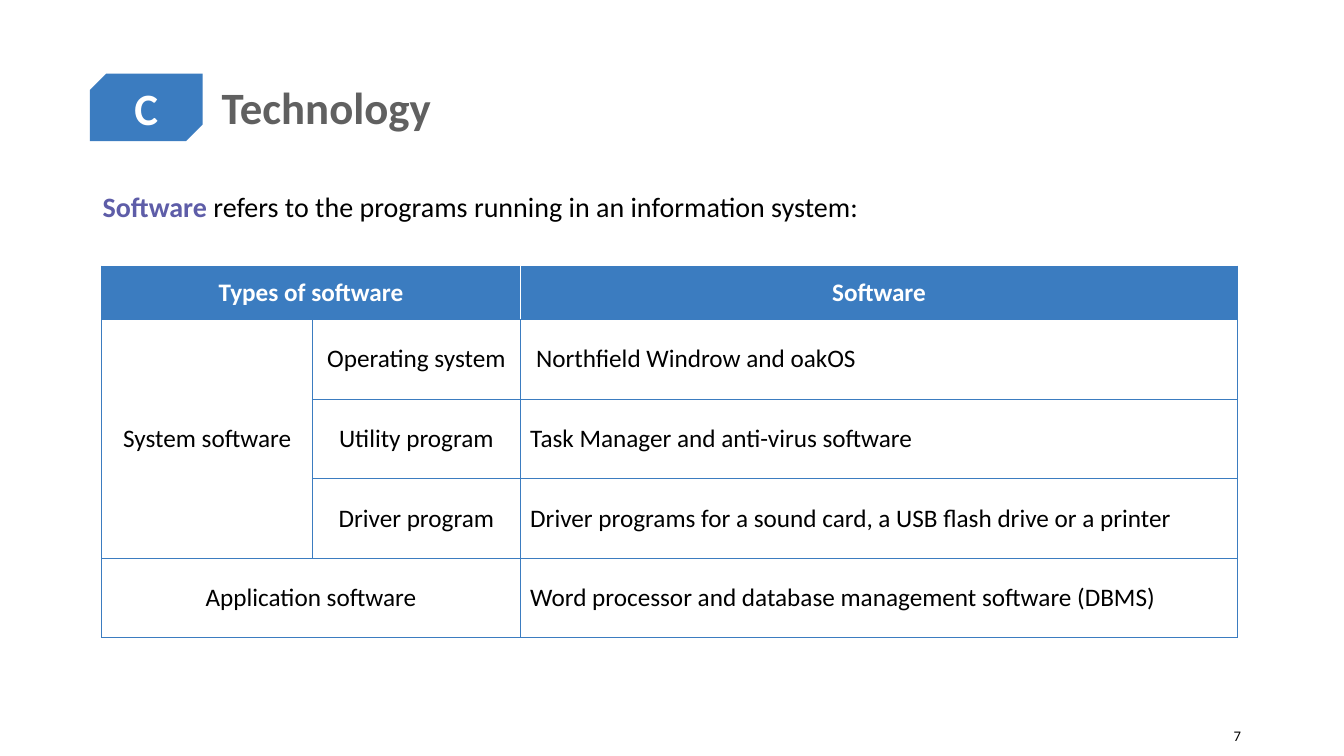
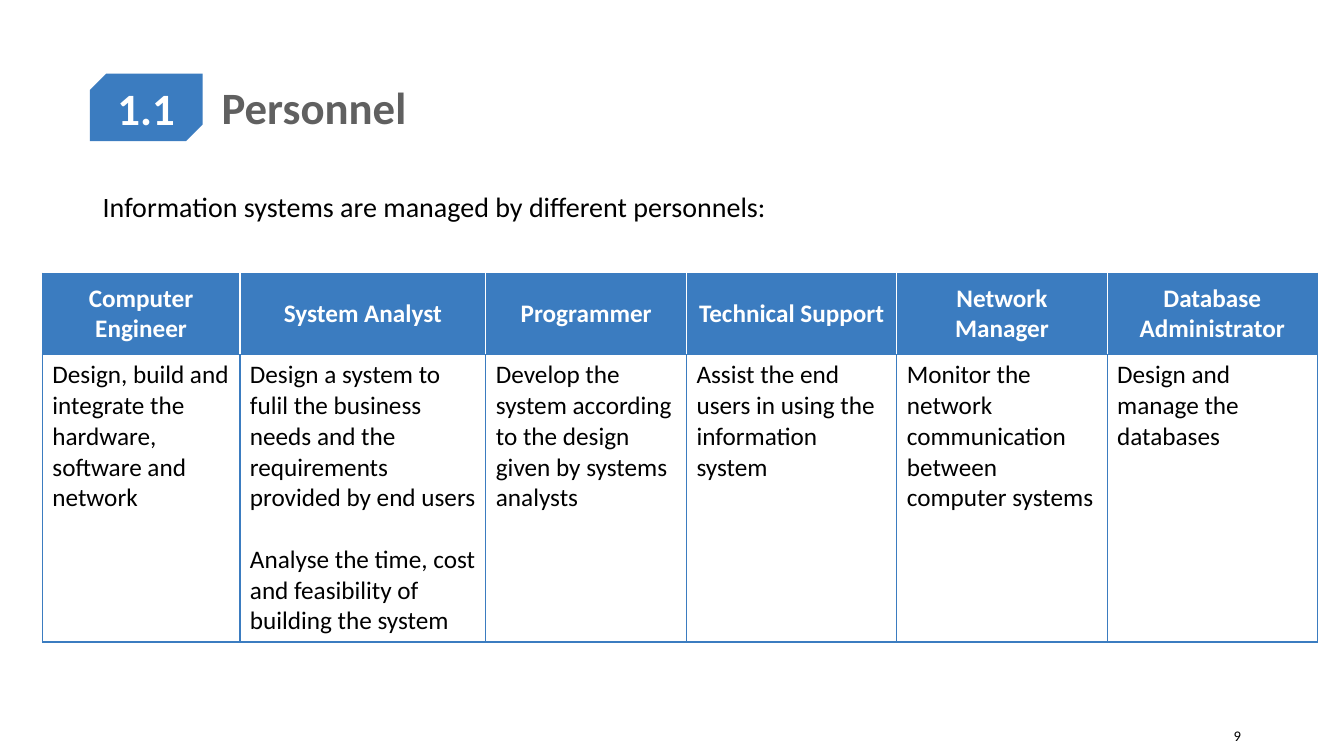
"""Build two information-system slides, each with a badge, a title and a table."""
from dataclasses import dataclass
from typing import Optional

from lxml import etree
from pptx import Presentation
from pptx import slide as sl
from pptx import table as tb
from pptx import util as u
from pptx.dml import color
from pptx.enum import shapes, text
from pptx.oxml import ns
from pptx.text import text as tx

COLORS = {"accent": "3B7CC0", "title": "606060", "term": "5E5DA8",
          "ink": "000000", "paper": "FFFFFF"}
FONT = "Calibri"
WIDTH, HEIGHT = u.Inches(13.33), u.Inches(7.5)
ALIGN, ANCHOR = text.PP_ALIGN, text.MSO_ANCHOR


@dataclass(frozen=True)
class Area:
    """A rectangle in percent of the slide's width and height."""
    left: float
    top: float
    width: float
    height: float

    def emu(self) -> tuple[int, int, int, int]:
        """Return the rectangle in slide units."""
        return (across(self.left), down(self.top),
                across(self.width), down(self.height))


@dataclass(frozen=True)
class Span:
    """A stretch of text in one style."""
    words: str
    size: float
    color: str = "ink"
    bold: bool = False


@dataclass(frozen=True)
class Entry:
    """A table cell with its paragraphs, place and extent."""
    row: int
    col: int
    paragraphs: tuple[str, ...]
    rows: int = 1
    cols: int = 1
    centred: bool = False
    anchor: ANCHOR = ANCHOR.MIDDLE
    indent: float = 0.75


@dataclass(frozen=True)
class Grid:
    """A table given by its corner, column widths and row heights."""
    left: float
    top: float
    columns: tuple[float, ...]
    rows: tuple[float, ...]
    entries: tuple[Entry, ...]


@dataclass(frozen=True)
class Page:
    """The content of one slide."""
    badge: str
    title: str
    number: str
    intro: tuple[Span, ...]
    grid: Grid


BADGE = Area(6.68, 9.73, 8.4, 8.93)
TITLE = Area(15.75, 5.33, 77.4, 18.4)
NUMBER = Area(86.78, 94.67, 6.3, 5.33)
INTRO = Area(6.9, 23.47, 86.25, 68.4)

SOFTWARE = Grid(7.58, 35.2, (15.68, 15.45, 53.4), (7.07,) + (10.53,) * 4, (
    Entry(0, 0, ("Types of software",), cols=2, centred=True),
    Entry(0, 2, ("Software",), centred=True),
    Entry(1, 0, ("System software",), rows=3, centred=True),
    Entry(1, 1, ("Operating system",), centred=True),
    Entry(1, 2, ("Northfield Windrow and oakOS",), indent=1.18),
    Entry(2, 1, ("Utility program",), centred=True),
    Entry(2, 2, ("Task Manager and anti-virus software",)),
    Entry(3, 1, ("Driver program",), centred=True),
    Entry(3, 2, ("Driver programs for a sound card, a USB flash drive or a printer",)),
    Entry(4, 0, ("Application software",), cols=2, centred=True),
    Entry(4, 2, ("Word processor and database management software (DBMS)",)),
))

DUTIES = {
    "Computer Engineer": (
        "Design, build and integrate the hardware, software and network",),
    "System Analyst": (
        "Design a system to fulil the business needs and the requirements "
        "provided by end users",
        "Analyse the time, cost and feasibility of building the system"),
    "Programmer": (
        "Develop the system according to the design given by systems analysts",),
    "Technical Support": ("Assist the end users in using the information system",),
    "Network Manager": ("Monitor the network communication between computer systems",),
    "Database Administrator": ("Design and manage the databases",),
}
PERSONNEL = Grid(
    3.15, 36.13, (14.7, 18.3, 14.93) + (15.65,) * 3, (10.8, 38),
    tuple(Entry(0, col, (role,), centred=True) for col, role in enumerate(DUTIES))
    + tuple(Entry(1, col, duty, anchor=ANCHOR.TOP)
            for col, duty in enumerate(DUTIES.values())))

PAGES = (
    Page("C", "Technology", "7",
         (Span("Software", 20, "term", True),
          Span(" refers to the programs running in an information system:", 20)),
         SOFTWARE),
    Page("1.1", "Personnel", "9",
         (Span("Information systems are managed by different personnels:", 20),),
         PERSONNEL),
)


def across(share: float) -> int:
    """Turn a percentage of the slide's width into slide units."""
    return round(WIDTH * share / 100)


def down(share: float) -> int:
    """Turn a percentage of the slide's height into slide units."""
    return round(HEIGHT * share / 100)


def rgb(name: str) -> color.RGBColor:
    """Look up a named colour."""
    return color.RGBColor.from_string(COLORS[name])


def write(paragraph: tx._Paragraph, spans: tuple[Span, ...],
          align: ALIGN = ALIGN.LEFT, spacing: Optional[float] = None) -> None:
    """Fill a paragraph run by run."""
    paragraph.alignment = align
    if spacing:
        paragraph.line_spacing = spacing
    for span in spans:
        run = paragraph.add_run()
        run.text = span.words
        run.font.name = FONT
        run.font.size = u.Pt(span.size)
        run.font.bold = span.bold
        run.font.color.rgb = rgb(span.color)


def add_label(slide: sl.Slide, area: Area, spans: tuple[Span, ...],
              anchor: ANCHOR = ANCHOR.MIDDLE, align: ALIGN = ALIGN.LEFT,
              spacing: Optional[float] = None) -> None:
    """Add a wrapped line of text."""
    frame = slide.shapes.add_textbox(*area.emu()).text_frame
    frame.word_wrap = True
    frame.vertical_anchor = anchor
    write(frame.paragraphs[0], spans, align, spacing)


def add_badge(slide: sl.Slide, mark: str) -> None:
    """Add the snipped badge that holds the section mark."""
    badge = slide.shapes.add_shape(
        shapes.MSO_SHAPE.SNIP_2_DIAG_RECTANGLE, *BADGE.emu())
    badge.adjustments[0], badge.adjustments[1] = 0.245, 0
    badge.shadow.inherit = False
    badge.fill.solid()
    badge.fill.fore_color.rgb = rgb("accent")
    badge.line.fill.background()
    frame = badge.text_frame
    frame.word_wrap = False
    frame.vertical_anchor = ANCHOR.MIDDLE
    frame.margin_top = frame.margin_bottom = 0
    write(frame.paragraphs[0], (Span(mark, 32, "paper", True),), ALIGN.CENTER)


def add_borders(cell: tb._Cell, left: str, right: str) -> None:
    """Draw the four borders of a cell."""
    properties = cell._tc.get_or_add_tcPr()
    sides = {"a:lnL": left, "a:lnR": right, "a:lnT": "accent", "a:lnB": "accent"}
    for side, name in sides.items():
        line = etree.SubElement(properties, ns.qn(side), w=str(u.Pt(1)))
        fill = etree.SubElement(line, ns.qn("a:solidFill"))
        etree.SubElement(fill, ns.qn("a:srgbClr"), val=COLORS[name])


def add_entry(table: tb.Table, entry: Entry) -> None:
    """Merge, place and fill one table cell."""
    cell = table.cell(entry.row, entry.col)
    if entry.rows > 1 or entry.cols > 1:
        cell.merge(table.cell(entry.row + entry.rows - 1,
                              entry.col + entry.cols - 1))
    cell.vertical_anchor = entry.anchor
    cell.margin_left = across(entry.indent)
    heading = entry.row == 0
    for index, words in enumerate(entry.paragraphs):
        frame = cell.text_frame
        paragraph = frame.add_paragraph() if index else frame.paragraphs[0]
        if index:
            paragraph.space_before = u.Pt(22)
        write(paragraph, (Span(words, 18, "paper" if heading else "ink", heading),),
              ALIGN.CENTER if entry.centred else ALIGN.LEFT)


def add_grid(slide: sl.Slide, grid: Grid) -> None:
    """Add a table with a filled heading row."""
    area = Area(grid.left, grid.top, sum(grid.columns), sum(grid.rows))
    table = slide.shapes.add_table(
        len(grid.rows), len(grid.columns), *area.emu()).table
    table.first_row = table.horz_banding = False
    for column, share in zip(table.columns, grid.columns):
        column.width = across(share)
    last = len(grid.columns) - 1
    for row_index, (row, share) in enumerate(zip(table.rows, grid.rows)):
        row.height = down(share)
        inner = "accent" if row_index else "paper"
        for col, cell in enumerate(row.cells):
            add_borders(cell, inner if col else "accent",
                        inner if col < last else "accent")
            if row_index:
                cell.fill.background()
            else:
                cell.fill.solid()
                cell.fill.fore_color.rgb = rgb("accent")
    for entry in grid.entries:
        add_entry(table, entry)


def add_page(deck: Presentation, page: Page) -> None:
    """Add one slide with its shared frame and its table."""
    slide = deck.slides.add_slide(deck.slide_layouts[6])
    add_badge(slide, page.badge)
    add_label(slide, TITLE, (Span(page.title, 32, "title", True),), spacing=0.9)
    add_label(slide, NUMBER, (Span(page.number, 10.5),), align=ALIGN.RIGHT)
    add_label(slide, INTRO, page.intro, ANCHOR.TOP, spacing=1.2)
    add_grid(slide, page.grid)


def main() -> None:
    """Build and save the deck."""
    deck = Presentation()
    deck.slide_width, deck.slide_height = WIDTH, HEIGHT
    for page in PAGES:
        add_page(deck, page)
    deck.save("out.pptx")


if __name__ == "__main__":
    main()
